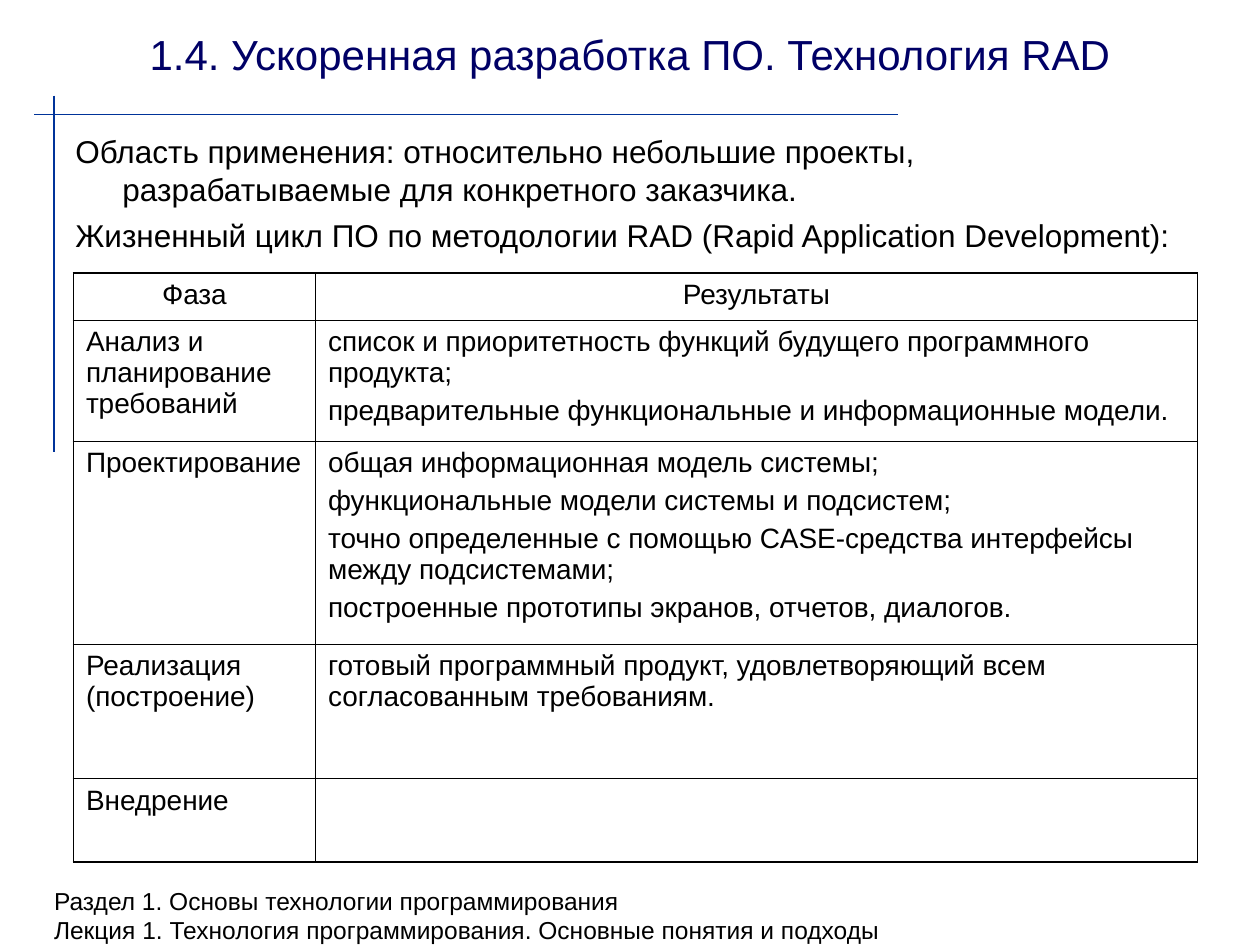
from lxml import etree
from pptx import Presentation, util as u
from pptx.dml.color import RGBColor
from pptx.enum import shapes, text
from pptx.oxml import ns

HUES = {"rule": "003399", "title": "000066", "ink": "000000"}
LEFT, MID = text.PP_ALIGN.LEFT, text.PP_ALIGN.CENTER


def write(frame, lines, size, hue="ink", align=LEFT, gap=0):
    frame.word_wrap = True
    for i, line in enumerate(lines):
        para = frame.paragraphs[0] if i == 0 else frame.add_paragraph()
        para.text = line
        para.alignment = align
        para.space_before = u.Pt(gap)
        para.font.size = u.Pt(size)
        para.font.name = "Arial"
        para.font.color.rgb = RGBColor.from_string(HUES[hue])


def edge(cell, side, width):
    props = cell._tc.get_or_add_tcPr()
    line = etree.SubElement(props, ns.qn("a:" + side), w=str(u.Pt(width)))
    fill = etree.SubElement(line, ns.qn("a:solidFill"))
    etree.SubElement(fill, ns.qn("a:srgbClr"), val=HUES["ink"])


deck = Presentation()
deck.slide_width, deck.slide_height = u.Cm(25.4), u.Cm(19.05)
slide = deck.slides.add_slide(deck.slide_layouts[6])

# Crossed rules
for ends in [(0.69, 2.31, 18.11, 2.31), (1.09, 1.93, 1.09, 9.12)]:
    rule = slide.shapes.add_connector(
        shapes.MSO_CONNECTOR.STRAIGHT, *[u.Cm(n) for n in ends])
    rule.line.color.rgb = RGBColor.from_string(HUES["rule"])
    rule.line.width = u.Pt(1)
    etree.SubElement(rule._element.spPr, ns.qn("a:effectLst"))

# Footer, title and introduction
foot, title, intro = [
    slide.shapes.add_textbox(*[u.Cm(n) for n in box]).text_frame
    for box in [(0.84, 17.73, 23.06, 1.32),
                (1.27, 0.2, 22.86, 1.75),
                (1.27, 2.54, 22.86, 2.97)]]
write(foot, ["Раздел 1. Основы технологии программирования",
             "Лекция 1. Технология программирования. Основные понятия и подходы"], 14)
write(title, ["1.4. Ускоренная разработка ПО. Технология RAD"], 24, "title", MID)
title.vertical_anchor = text.MSO_ANCHOR.MIDDLE
write(intro, ["Область применения: относительно небольшие проекты, "
              "разрабатываемые для конкретного заказчика.",
              "Жизненный цикл ПО по методологии RAD (Rapid Application Development):"],
      18, gap=4.5)
for para in intro.paragraphs:
    props = para._p.get_or_add_pPr()
    props.set("marL", str(u.Cm(0.95)))
    props.set("indent", str(u.Cm(-0.95)))

# Phases and their results: row height, phase, results
ROWS = [
    (0.94, "Фаза", ["Результаты"]),
    (2.44, "Анализ и планирование требований",
     ["список и приоритетность функций будущего программного продукта;",
      "предварительные функциональные и информационные модели."]),
    (4.09, "Проектирование",
     ["общая информационная модель системы;",
      "функциональные модели системы и подсистем;",
      "точно определенные с помощью CASE-средства интерфейсы между подсистемами;",
      "построенные прототипы экранов, отчетов, диалогов."]),
    (2.72, "Реализация (построение)",
     ["готовый программный продукт, удовлетворяющий всем согласованным требованиям."]),
    (1.68, "Внедрение", [""]),
]
WIDE = [4.88, 17.78]
THICK, THIN = 1.08, 0.45
grid = slide.shapes.add_table(
    len(ROWS), len(WIDE), u.Cm(1.48), u.Cm(5.51),
    u.Cm(sum(WIDE)), u.Cm(sum(row[0] for row in ROWS))).table
grid.first_row = grid.horz_banding = False
for col, width in zip(grid.columns, WIDE):
    col.width = u.Cm(width)
for r, (height, phase, goals) in enumerate(ROWS):
    grid.rows[r].height = u.Cm(height)
    for c, lines in enumerate([[phase], goals]):
        cell = grid.cell(r, c)
        write(cell.text_frame, lines, 16, align=LEFT if r else MID, gap=4)
        outer = {"lnL": c == 0, "lnR": c == len(WIDE) - 1,
                 "lnT": r == 0, "lnB": r == len(ROWS) - 1}
        for side, out in outer.items():
            edge(cell, side, THICK if out else THIN)
        cell.fill.background()

deck.save("out.pptx")
